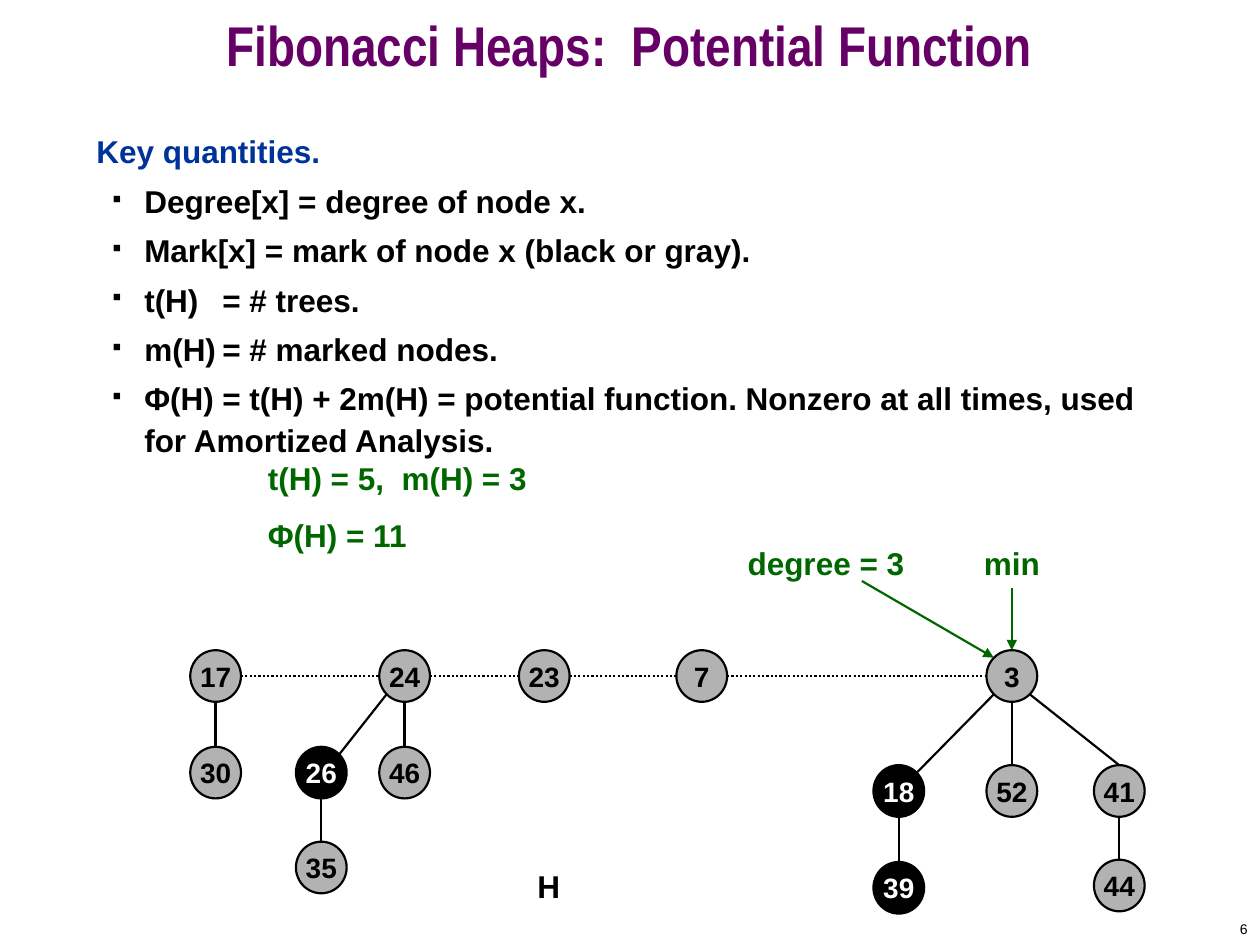
from dataclasses import dataclass

from lxml import etree
from pptx import Presentation
from pptx.dml.color import RGBColor
from pptx.enum.dml import MSO_LINE
from pptx.enum.shapes import MSO_CONNECTOR, MSO_SHAPE
from pptx.enum.text import MSO_ANCHOR, MSO_AUTO_SIZE, PP_ALIGN
from pptx.oxml.ns import qn
from pptx.util import Pt

MID, RIGHT = PP_ALIGN.CENTER, PP_ALIGN.RIGHT
TOP, CENTER = MSO_ANCHOR.TOP, MSO_ANCHOR.MIDDLE
OVAL, STRAIGHT = MSO_SHAPE.OVAL, MSO_CONNECTOR.STRAIGHT
DOTS, FIXED = MSO_LINE.ROUND_DOT, MSO_AUTO_SIZE.NONE


@dataclass(frozen=True)
class Theme:
    font: str = "Arial"
    head_font: str = "Arial Narrow"
    black: str = "000000"
    white: str = "FFFFFF"
    gray: str = "B2B2B2"
    purple: str = "660066"
    blue: str = "003399"
    green: str = "006600"
    head: int = 32
    body: int = 18
    node: int = 16
    page: int = 8
    line: float = 1.25


def apply(item, values):
    for name, value in values.items():
        setattr(item, name, value)


def add_tag(parent, tag, **values):
    return etree.SubElement(parent, qn(tag), values)


class Deck:
    WIDE, HIGH = 29, 29.5  # node size

    def __init__(self, theme):
        self.theme = theme
        self.file = Presentation()
        apply(self.file, {"slide_width": Pt(720), "slide_height": Pt(540)})
        self.slide = self.file.slides.add_slide(self.file.slide_layouts[5])
        self.shapes = self.slide.shapes

    def label(self, par, text, color, size, font=None, bold=True, **form):
        """Fill one paragraph; form holds its paragraph settings."""
        apply(par, form)
        run = par.add_run()
        run.text = text
        apply(run.font, {"name": font or self.theme.font,
                         "size": Pt(size), "bold": bold})
        run.font.color.rgb = RGBColor.from_string(color)

    def title(self, text):
        shape = self.shapes.title
        apply(shape, {"left": 0, "top": 0, "width": Pt(720), "height": Pt(60)})
        frame = shape.text_frame
        apply(frame, {"vertical_anchor": CENTER, "auto_size": FIXED})
        self.label(frame.paragraphs[0], text, self.theme.purple,
                   self.theme.head, self.theme.head_font,
                   alignment=MID, line_spacing=0.7)

    def box(self, x, y, w, h, anchor=TOP):
        frame = self.shapes.add_textbox(Pt(x), Pt(y), Pt(w), Pt(h)).text_frame
        apply(frame, {"word_wrap": True, "vertical_anchor": anchor})
        return frame

    def note(self, lines, place, color, anchor=TOP, size=None, **form):
        """Plain text box with one paragraph per line."""
        frame = self.box(*place, anchor)
        for i, line in enumerate(lines):
            par = frame.add_paragraph() if i else frame.paragraphs[0]
            self.label(par, line, color, size or self.theme.body, **form)

    def bullets(self, lead, items, place):
        frame = self.box(*place)
        size = self.theme.body
        self.label(frame.paragraphs[0], lead, self.theme.blue, size,
                   space_before=Pt(4.5))
        for item in items:
            par = frame.add_paragraph()
            self.label(par, item, self.theme.black, size,
                       space_before=Pt(4.5), line_spacing=1.1)
            props = par._p.get_or_add_pPr()
            props.set("marL", str(Pt(27.4)))
            props.set("indent", str(-Pt(18)))
            tint = add_tag(props, "a:buClr")
            add_tag(tint, "a:srgbClr", val=self.theme.black)
            add_tag(props, "a:buSzPct", val="35000")
            add_tag(props, "a:buChar", char="■")
            tabs = add_tag(props, "a:tabLst")
            add_tag(tabs, "a:tab", pos=str(Pt(72)), algn="l")

    def node(self, key, x, y, marked):
        """Heap node centred on x, y."""
        theme = self.theme
        shape = self.shapes.add_shape(
            OVAL, Pt(x - self.WIDE / 2), Pt(y - self.HIGH / 2),
            Pt(self.WIDE), Pt(self.HIGH))
        shape.shadow.inherit = False
        shape.fill.solid()
        shape.fill.fore_color.rgb = RGBColor.from_string(
            theme.black if marked else theme.gray)
        shape.line.color.rgb = RGBColor.from_string(theme.black)
        shape.line.width = Pt(theme.line)
        frame = shape.text_frame
        apply(frame, {"word_wrap": False, "vertical_anchor": CENTER})
        self.label(frame.paragraphs[0], str(key),
                   theme.white if marked else theme.black,
                   theme.node, alignment=MID)

    def rim(self, spot, dx, dy):
        """Point on a node's rim in direction dx, dy (each -1, 0 or 1)."""
        scale = 0.71 if dx and dy else 1
        return (spot[0] + dx * scale * self.WIDE / 2,
                spot[1] + dy * scale * self.HIGH / 2)

    def line(self, start, end, color, dash=None, arrow=False):
        link = self.shapes.add_connector(
            STRAIGHT, *(Pt(v) for v in (*start, *end)))
        link.line.color.rgb = RGBColor.from_string(color)
        apply(link.line, {"width": Pt(self.theme.line), "dash_style": dash})
        if arrow:
            add_tag(link.get_or_add_ln(), "a:tailEnd", type="triangle")
        add_tag(link._element.spPr, "a:effectLst")


# Node centres, by key
ROOT_Y, CHILD_Y, DEEP_Y = 386.3, 441.5, 452
SPOTS = {
    17: (123.2, ROOT_Y), 24: (231.2, ROOT_Y), 23: (311, ROOT_Y),
    7: (401, ROOT_Y), 3: (578.2, ROOT_Y),
    30: (123.2, CHILD_Y), 26: (183.6, CHILD_Y), 46: (231.2, CHILD_Y),
    35: (183.6, 495.7),
    18: (513.6, DEEP_Y), 52: (578.2, DEEP_Y), 41: (639.6, DEEP_Y),
    39: (513.6, 507.3), 44: (639.6, 506),
}
ROOTS = [17, 24, 23, 7, 3]
MARKED = {26, 18, 39}
DOWN, UP = (0, 1), (0, -1)
# Parent, child, and the side of each where the edge ends
EDGES = [(a, b, DOWN, UP) for a, b in
         [(17, 30), (24, 46), (26, 35), (3, 52), (18, 39), (41, 44)]]
EDGES += [(24, 26, (-1, 1), (1, -1)), (3, 18, (-1, 1), (1, -1)),
          (3, 41, (1, 1), UP)]


def main():
    theme = Theme()
    deck = Deck(theme)

    # Title and key quantities
    deck.title("Fibonacci Heaps:  Potential Function")
    deck.bullets("Key quantities.", [
        "Degree[x] = degree of node x.",
        "Mark[x] = mark of node x (black or gray).",
        "t(H)\t= # trees.",
        "m(H)\t= # marked nodes.",
        "Φ(H)\t= t(H) + 2m(H) = potential function. Nonzero at all times, "
        "used for Amortized Analysis.",
    ], (48, 72, 618, 426))

    # Root list and tree edges
    for a, b in zip(ROOTS, ROOTS[1:]):
        deck.line(deck.rim(SPOTS[a], 1, 0), deck.rim(SPOTS[b], -1, 0),
                  theme.black, DOTS)
    for a, b, low, high in EDGES:
        deck.line(deck.rim(SPOTS[a], *low), deck.rim(SPOTS[b], *high),
                  theme.black)

    # Nodes
    for key, spot in SPOTS.items():
        deck.node(key, *spot, key in MARKED)

    # Values and heap name
    deck.note(["t(H) = 5,  m(H) = 3", "Φ(H) = 11"], (146, 258.5, 180, 62),
              theme.green, space_before=Pt(11.2))
    deck.note(["H"], (300, 491.8, 30, 29), theme.black,
              space_before=Pt(11.2))

    # Labels with arrows to the minimum
    for text, x in (("degree = 3", 472), ("min", 578.2)):
        deck.note([text], (x - 60, 306.7, 120, 29.5), theme.green, CENTER,
                  alignment=MID)
    least = SPOTS[3]
    for start, side in (((492.5, 332), (-1, -1)), ((578.2, 336), UP)):
        deck.line(start, deck.rim(least, *side), theme.green, arrow=True)

    # Page number
    deck.note(["6"], (570, 522, 150, 18), theme.black, CENTER, theme.page,
              bold=False, alignment=RIGHT)
    deck.file.save("out.pptx")


if __name__ == "__main__":
    main()
